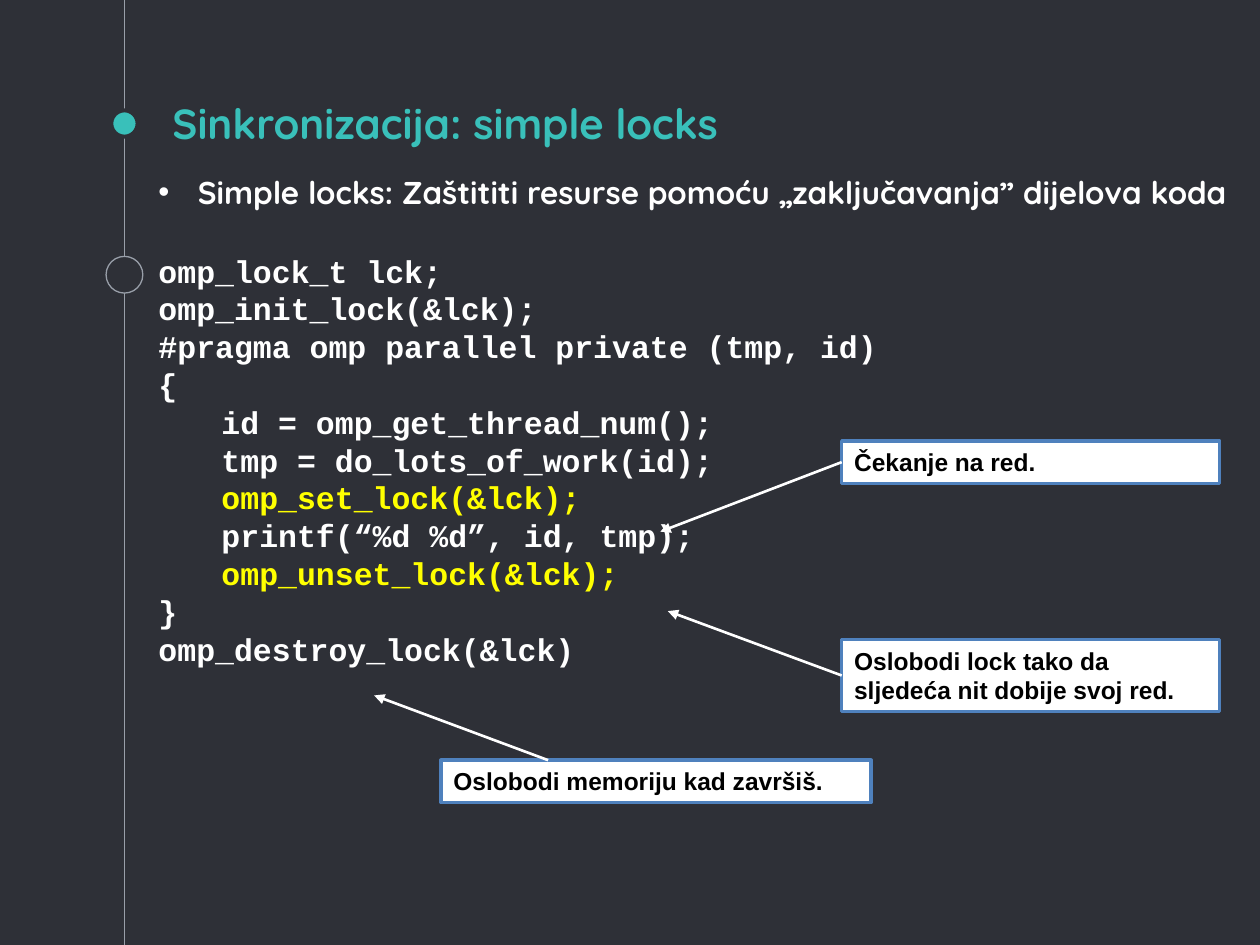
from lxml.etree import SubElement
from pptx import Presentation
from pptx.dml.color import RGBColor
from pptx.enum.shapes import MSO_CONNECTOR, MSO_SHAPE
from pptx.enum.text import MSO_ANCHOR, PP_ALIGN
from pptx.oxml.ns import qn
from pptx.util import Pt

DARK = RGBColor(0x2E, 0x30, 0x37)
TEAL = RGBColor(0x39, 0xC0, 0xBA)
GREY = RGBColor(0x99, 0x9F, 0xA9)
WHITE = RGBColor(0xFF, 0xFF, 0xFF)
BLACK = RGBColor(0x00, 0x00, 0x00)
YELLOW = RGBColor(0xFF, 0xFF, 0x00)
BLUE = RGBColor(0x4F, 0x81, 0xBD)

WIDTH, HEIGHT = 720, 540
LEFT_SIDE = 1
INSET = 7.2

CODE = [
    ("omp_lock_t lck;", WHITE),
    ("omp_init_lock(&lck);", WHITE),
    ("#pragma omp parallel private (tmp, id)", WHITE),
    ("{", WHITE),
    ("\tid = omp_get_thread_num();", WHITE),
    ("\ttmp = do_lots_of_work(id);", WHITE),
    ("\tomp_set_lock(&lck);", YELLOW),
    ("\tprintf(“%d %d”, id, tmp);", WHITE),
    ("\tomp_unset_lock(&lck);", YELLOW),
    ("}", WHITE),
    ("omp_destroy_lock(&lck)", WHITE),
]


def add_run(paragraph, text, size, font_name, color):
    run = paragraph.add_run()
    run.text = text
    run.font.size = Pt(size)
    run.font.name = font_name
    run.font.bold = True
    run.font.color.rgb = color


def add_filled(slide, preset, box, fill, line, line_width):
    shape = slide.shapes.add_shape(preset, *map(Pt, box))
    shape.shadow.inherit = False
    shape.fill.solid()
    shape.fill.fore_color.rgb = fill
    shape.line.color.rgb = line
    shape.line.width = Pt(line_width)
    return shape


def add_line(slide, start, end, color, width):
    line = slide.shapes.add_connector(MSO_CONNECTOR.STRAIGHT, *map(Pt, start + end))
    line.line.color.rgb = color
    line.line.width = Pt(width)
    SubElement(line._element.spPr, qn("a:effectLst"))
    return line


def add_text_frame(slide, box):
    frame = slide.shapes.add_textbox(*map(Pt, box)).text_frame
    frame.word_wrap = True
    frame.margin_left = frame.margin_right = Pt(INSET)
    frame.margin_top = frame.margin_bottom = Pt(INSET)
    return frame


def add_timeline(slide, x, top, bottom):
    """Vertical rail at x with the title's dot and an open ring."""
    add_line(slide, (x, top), (x, bottom), GREY, 0.75)
    for center, diameter, fill, line, line_width in (
        (70.6, 15, TEAL, DARK, 2.25),
        (157, 21, DARK, GREY, 0.75),
    ):
        box = (x - diameter / 2, center - diameter / 2, diameter, diameter)
        add_filled(slide, MSO_SHAPE.OVAL, box, fill, line, line_width)


def add_title(slide, box):
    frame = add_text_frame(slide, box)
    frame.vertical_anchor = MSO_ANCHOR.BOTTOM
    add_run(frame.paragraphs[0], "Sinkronizacija: simple locks", 24, "Quicksand", TEAL)


def add_bullet(paragraph, indent):
    properties = paragraph._p.get_or_add_pPr()
    properties.set("marL", str(Pt(indent)))
    properties.set("indent", str(-Pt(indent)))
    color = SubElement(properties, qn("a:buClr"))
    SubElement(color, qn("a:srgbClr"), val=str(WHITE))
    SubElement(properties, qn("a:buFont"), typeface="Arial")
    SubElement(properties, qn("a:buChar"), char="•")


def add_body(slide, box):
    frame = add_text_frame(slide, box)
    intro = frame.paragraphs[0]
    add_bullet(intro, 22.5)
    add_run(intro, "Simple locks: Zaštititi resurse pomoću „zaključavanja” dijelova koda",
            18, "Quicksand", WHITE)
    for number, (code, color) in enumerate(CODE):
        paragraph = frame.add_paragraph()
        paragraph.line_spacing = Pt(21.6)
        if number == 0:
            paragraph.space_before = Pt(23.5)
        add_run(paragraph, code, 18, "Courier New", color)


def add_callout(slide, box, note, start, tip, side=None):
    """Boxed note with an arrow to tip, joined to the box when a side is given."""
    callout = add_filled(slide, MSO_SHAPE.RECTANGLE, box, WHITE, BLUE, 2)
    frame = callout.text_frame
    frame.word_wrap = True
    frame.vertical_anchor = MSO_ANCHOR.TOP
    paragraph = frame.paragraphs[0]
    paragraph.alignment = PP_ALIGN.LEFT
    add_run(paragraph, note, 14, "Arial", BLACK)

    left, top = box[:2]
    arrow = add_line(slide, (left + start[0], top + start[1]), tip, WHITE, 1.5)
    if side is not None:
        arrow.begin_connect(callout, side)
    SubElement(arrow.line._get_or_add_ln(), qn("a:tailEnd"), type="triangle")


def main():
    prs = Presentation()
    prs.slide_width, prs.slide_height = Pt(WIDTH), Pt(HEIGHT)
    slide = prs.slides.add_slide(prs.slide_layouts[6])
    slide.background.fill.solid()
    slide.background.fill.fore_color.rgb = DARK

    add_timeline(slide, 71.1, 0, HEIGHT)
    add_title(slide, (91.5, 55.5, 540, 36))
    add_body(slide, (83.5, 91.5, 628, 439))
    add_callout(slide, (481, 252, 216, 24.2), "Čekanje na red.",
                (0, 12.1), (377.3, 303.8), LEFT_SIDE)
    add_callout(slide, (481, 365.4, 216, 41.2),
                "Oslobodi lock tako da sljedeća nit dobije svoj red.",
                (0, 20.6), (381.6, 349.2), LEFT_SIDE)
    add_callout(slide, (252, 434.4, 245.8, 24.2), "Oslobodi memoriju kad završiš.",
                (61.2, 0), (213.8, 397.4))
    prs.save("out.pptx")


if __name__ == "__main__":
    main()
